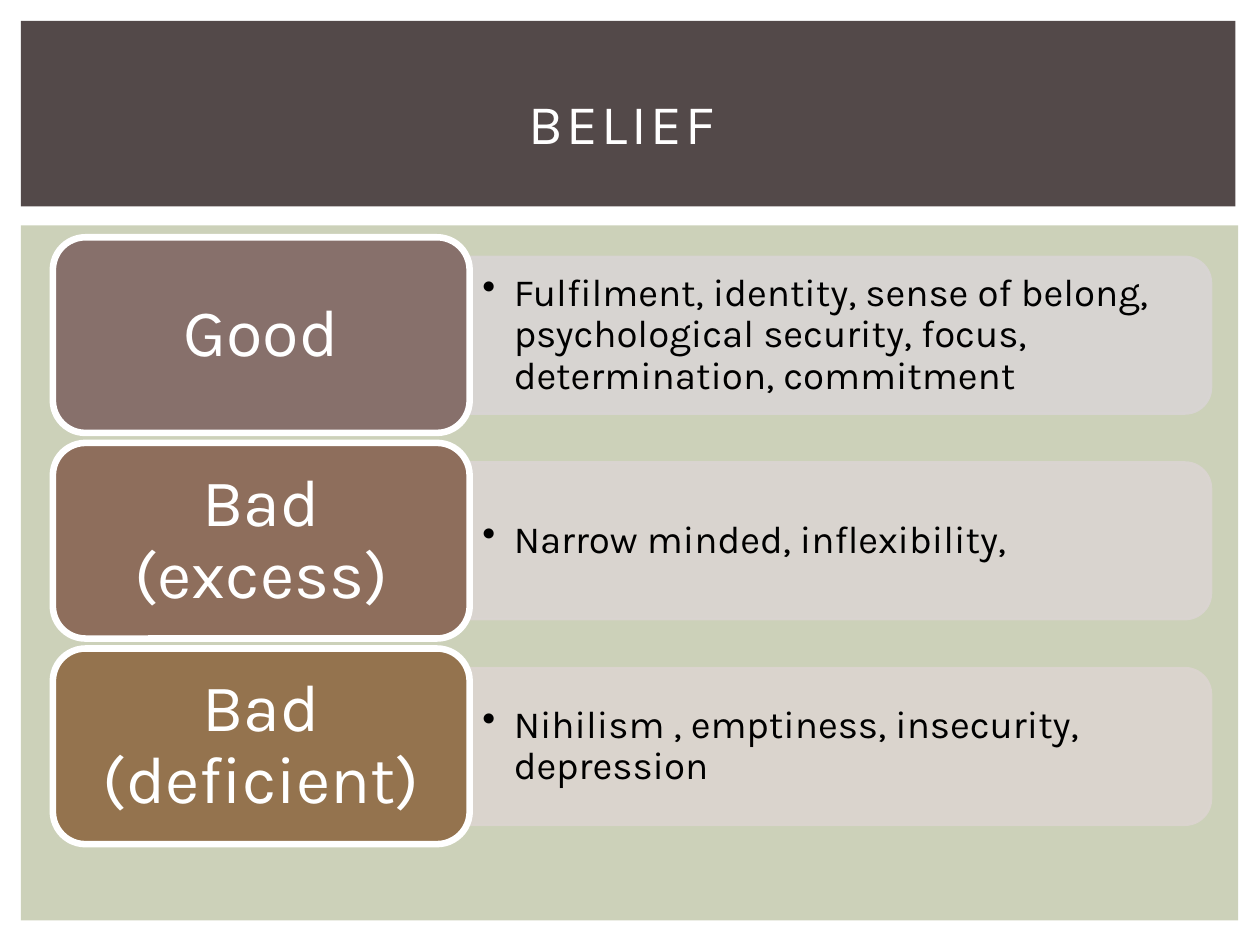
from pptx import Presentation
from pptx.dml.color import RGBColor
from pptx.enum.shapes import MSO_SHAPE
from pptx.enum.text import MSO_ANCHOR, PP_ALIGN
from pptx.oxml.xmlchemy import OxmlElement
from pptx.util import Pt

WHITE = RGBColor(0xFF, 0xFF, 0xFF)
BLACK = RGBColor(0, 0, 0)
SAGE = RGBColor(0xCC, 0xD1, 0xB9)
BROWN = RGBColor(0x53, 0x49, 0x49)
MAUVE = RGBColor(0x87, 0x70, 0x6B)
CLAY = RGBColor(0x8E, 0x6E, 0x5C)
OCHRE = RGBColor(0x94, 0x73, 0x4E)
MIST = RGBColor(0xD9, 0xD5, 0xD4)
PEARL = RGBColor(0xDB, 0xD5, 0xD2)
SAND = RGBColor(0xDC, 0xD5, 0xD0)


class Deck:
    font = "Karla"

    def __init__(self, wide, high):
        self.file = Presentation()
        self.file.slide_width, self.file.slide_height = Pt(wide), Pt(high)
        self.slide = self.file.slides.add_slide(self.file.slide_layouts[6])

    def shape(self, kind, box, fill, line=None, width=0):
        item = self.slide.shapes.add_shape(kind, *map(Pt, box))
        item.shadow.inherit = False
        item.fill.solid()
        item.fill.fore_color.rgb = fill
        if line is None:
            item.line.fill.background()
        else:
            item.line.color.rgb = line
            item.line.width = Pt(width)
        return item

    def panel(self, box, color):
        left, top, wide, high = box
        turned = (left + (wide - high) / 2, top + (high - wide) / 2, high, wide)
        item = self.shape(MSO_SHAPE.ROUND_2_SAME_RECTANGLE, turned, color, color, 1.5)
        item.rotation = 90
        for node in item._element.spPr.iter("{*}srgbClr"):
            alpha = OxmlElement("a:alpha")
            alpha.set("val", "90000")
            node.append(alpha)

    def box(self, box):
        return self.slide.shapes.add_textbox(*map(Pt, box))

    def words(self, item, text, size, color, align=PP_ALIGN.CENTER,
              pad=(7.2, 3.6), gap=1.0):
        across, down = map(Pt, pad)
        frame = item.text_frame
        style = {"word_wrap": True, "vertical_anchor": MSO_ANCHOR.MIDDLE,
                 "margin_left": across, "margin_right": across,
                 "margin_top": down, "margin_bottom": down}
        for name, value in style.items():
            setattr(frame, name, value)
        para = frame.paragraphs[0]
        para.alignment, para.line_spacing = align, gap
        run = para.add_run()
        run.text = text
        for name, value in {"name": self.font, "size": Pt(size)}.items():
            setattr(run.font, name, value)
        run.font.color.rgb = color
        return para

    def title(self, box, text):
        para = self.words(self.box(box), text, 32, WHITE)
        para.runs[0]._r.get_or_add_rPr().set("spc", "200")

    def point(self, box, text):
        para = self.words(self.box(box), text, 22, BLACK, PP_ALIGN.LEFT, gap=0.9)
        props = para._p.get_or_add_pPr()
        props.set("marL", str(Pt(18)))
        props.set("indent", str(-Pt(18)))
        mark = OxmlElement("a:buChar")
        mark.set("char", "•")
        props.append(mark)

    def label(self, box, text, color):
        item = self.shape(MSO_SHAPE.ROUNDED_RECTANGLE, box, color, WHITE, 3.75)
        self.words(item, text, 38, WHITE, pad=(17, 11), gap=0.9)


deck = Deck(720, 540)
deck.shape(MSO_SHAPE.RECTANGLE, (12, 128.8, 695.5, 397.2), SAGE)
deck.shape(MSO_SHAPE.RECTANGLE, (12, 12, 694, 106), BROWN)

ROWS = [
    ("Good", MAUVE, MIST, "Fulfilment, identity, sense of belong, "
     "psychological security, focus, determination, commitment"),
    ("Bad (excess)", CLAY, PEARL, "Narrow minded, inflexibility,"),
    ("Bad (deficient)", OCHRE, SAND, "Nihilism , emptiness, insecurity, depression"),
]
for row, (name, dark, pale, text) in enumerate(ROWS):
    top = 135.6 + row * 117.5
    deck.panel((268.5, top + 11.2, 423.5, 89.5), pale)
    deck.point((268.5, top + 15.6, 419, 80.7), text)
    deck.label((30.2, top, 238.2, 111.8), name, dark)

deck.title((30, 28, 660, 83), "BELIEF ")
deck.file.save("out.pptx")
